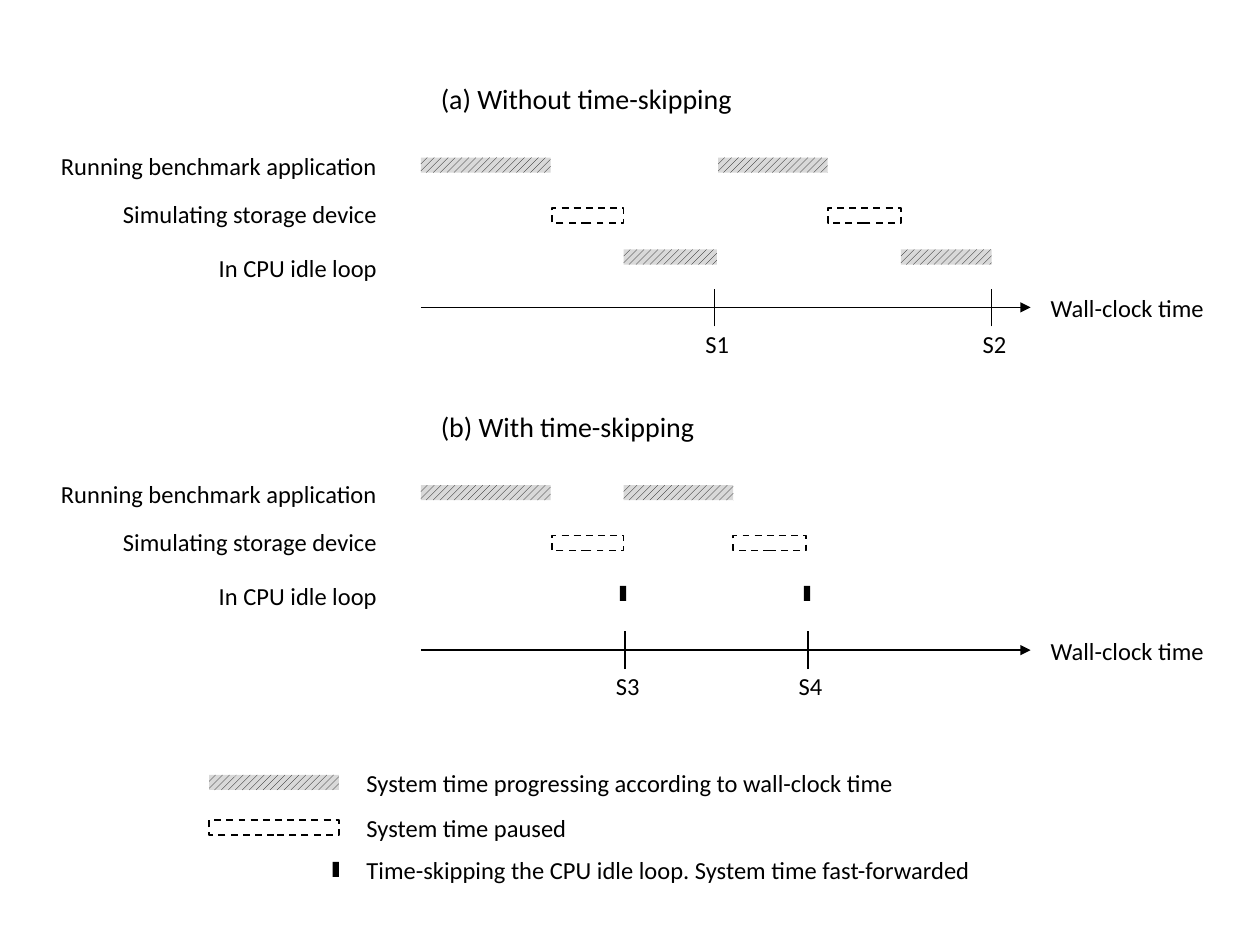
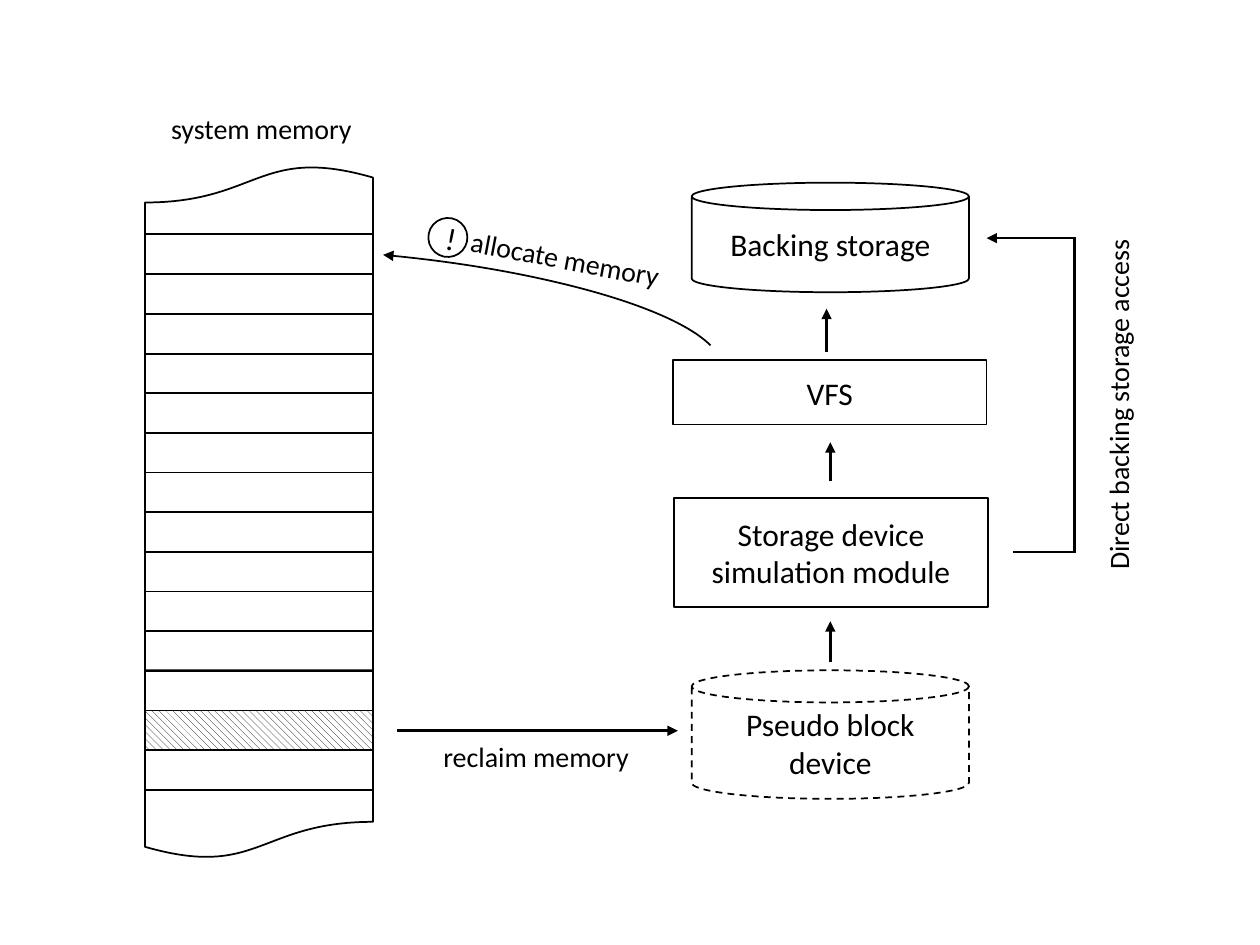
from dataclasses import dataclass
from enum import Enum

import lxml.etree
import pptx
import pptx.dml.color
import pptx.dml.fill
import pptx.enum.dml
import pptx.enum.shapes
import pptx.enum.text
import pptx.oxml.ns
import pptx.util

Inches = pptx.util.Inches
Shape = pptx.enum.shapes.MSO_SHAPE
Align = pptx.enum.text.PP_ALIGN
Pattern = pptx.enum.dml.MSO_PATTERN

# Shared look
INK, PAPER, GREY = "000000", "FFFFFF", "D9D9D9"
FONT = "Calibri"
SMALL, MEDIUM, LARGE = 14, 16, 18
THIN, THICK = 1, 1.5
BAR_HEIGHT = 0.12


class Bar(Enum):
    RUNNING = "running"
    PAUSED = "paused"
    SKIPPED = "skipped"


@dataclass
class Span:
    row: int
    left: float
    width: float
    kind: Bar


@dataclass
class Tick:
    x: float
    name: str


@dataclass
class Timeline:
    heading: str
    top: float
    idle_bar: float  # offsets below the top
    axis: float
    spans: list[Span]
    ticks: list[Tick]


@dataclass
class Node:
    kind: Shape
    left: float
    top: float
    width: float
    height: float
    text: str
    dashed: bool = False
    filled: bool = False


@dataclass
class Label:
    text: str
    left: float
    top: float
    width: float
    rotation: float = 0


@dataclass
class Arrow:
    start: tuple[float, float]
    end: tuple[float, float]
    pointed: bool = True


# Drawing helpers
def paint(fill: pptx.dml.fill.FillFormat, colour: str) -> None:
    fill.solid()
    fill.fore_color.rgb = pptx.dml.color.RGBColor.from_string(colour)


def hatch(shape, pattern: Pattern, back: str) -> None:
    shape.fill.patterned()
    shape.fill.pattern = pattern
    shape.fill.fore_color.rgb = pptx.dml.color.RGBColor.from_string(INK)
    shape.fill.back_color.rgb = pptx.dml.color.RGBColor.from_string(back)


def outline(shape, width: float = THIN, dashed: bool = False) -> None:
    paint(shape.line.fill, INK)
    shape.line.width = pptx.util.Pt(width)
    if dashed:
        shape.line.dash_style = pptx.enum.dml.MSO_LINE.DASH


def add_arrowhead(shape, end: str) -> None:
    line = shape.line._get_or_add_ln()
    lxml.etree.SubElement(line, pptx.oxml.ns.qn(f"a:{end}"), type="triangle")


def write(shape, text: str, size: int, align: Align) -> None:
    para = shape.text_frame.paragraphs[0]
    para.alignment = align
    run = para.add_run()
    run.text = text
    for name, value in {"name": FONT, "size": pptx.util.Pt(size)}.items():
        setattr(run.font, name, value)
    paint(run.font.fill, INK)


def add_text(page, text: str, left: float, top: float, width: float, size: int,
             align: Align = Align.LEFT, wrap: bool = False, rotation: float = 0) -> None:
    height = 0.34 if size == SMALL else 0.37
    box = page.shapes.add_textbox(Inches(left), Inches(top), Inches(width), Inches(height))
    box.rotation = rotation
    frame_format = {"word_wrap": wrap,
                    "auto_size": pptx.enum.text.MSO_AUTO_SIZE.SHAPE_TO_FIT_TEXT}
    for name, value in frame_format.items():
        setattr(box.text_frame, name, value)
    write(box, text, size, align)


def add_box(page, kind: Shape, left: float, top: float, width: float, height: float,
            rotation: float = 0, dashed: bool = False):
    """Draw an unfilled, outlined shape."""
    box = page.shapes.add_shape(kind, Inches(left), Inches(top), Inches(width), Inches(height))
    box.shadow.inherit = False
    box.rotation = rotation
    box.fill.background()
    outline(box, dashed=dashed)
    return box


def add_line(page, start: tuple[float, float], end: tuple[float, float],
             width: float = THIN, pointed: bool = False) -> None:
    line = page.shapes.add_connector(pptx.enum.shapes.MSO_CONNECTOR.STRAIGHT,
                                     *(Inches(value) for value in (*start, *end)))
    outline(line, width)
    if pointed:
        add_arrowhead(line, "tailEnd")
    lxml.etree.SubElement(line._element.spPr, pptx.oxml.ns.qn("a:effectLst"))


def add_bar(page, kind: Bar, left: float, top: float, width: float) -> None:
    bar = add_box(page, Shape.RECTANGLE, left, top, width, BAR_HEIGHT,
                  dashed=kind is Bar.PAUSED)
    if kind is not Bar.PAUSED:
        bar.line.fill.background()
    if kind is Bar.RUNNING:
        hatch(bar, Pattern.WIDE_UPWARD_DIAGONAL, GREY)
    elif kind is Bar.SKIPPED:
        paint(bar.fill, INK)


# Slide 1: timelines with and without time-skipping
AXIS_LEFT, AXIS_RIGHT = 3.34, 8.18
ROW_LABEL_RIGHT = 3.09
ROW_LABELS = [  # text, offset below the top, width
    ("Running benchmark application", 0.55, 2.73),
    ("Simulating storage device", 0.93, 2.24),
    ("In CPU idle loop", 1.36, 1.47),
]
TIMELINES = [
    Timeline("(a) Without time-skipping", 0.6, 1.38, 1.84,
             [Span(0, 3.34, 1.03, Bar.RUNNING), Span(1, 4.38, 0.57, Bar.PAUSED),
              Span(2, 4.95, 0.74, Bar.RUNNING), Span(0, 5.7, 0.87, Bar.RUNNING),
              Span(1, 6.57, 0.58, Bar.PAUSED), Span(2, 7.15, 0.72, Bar.RUNNING)],
             [Tick(5.67, "S1"), Tick(7.87, "S2")]),
    Timeline("(b) With time-skipping", 3.2, 1.45, 1.96,
             [Span(0, 3.34, 1.03, Bar.RUNNING), Span(1, 4.38, 0.57, Bar.PAUSED),
              Span(2, 4.92, 0.05, Bar.SKIPPED), Span(0, 4.95, 0.87, Bar.RUNNING),
              Span(1, 5.82, 0.58, Bar.PAUSED), Span(2, 6.38, 0.05, Bar.SKIPPED)],
             [Tick(4.96, "S3"), Tick(6.41, "S4")]),
]
LEGEND_RIGHT = 2.69
LEGEND = [  # kind, bar top, bar width, text, text top, text width
    (Bar.RUNNING, 6.15, 1.03, "System time progressing according to wall-clock time", 6.05, 4.42),
    (Bar.PAUSED, 6.51, 1.03, "System time paused", 6.4, 1.8),
    (Bar.SKIPPED, 6.84, 0.05, "Time-skipping the CPU idle loop. System time fast-forwarded",
     6.74, 5.62),
]


def draw_timeline(page, timeline: Timeline) -> None:
    add_text(page, timeline.heading, 3.4, timeline.top, 3.68, MEDIUM, wrap=True)
    for text, offset, width in ROW_LABELS:
        add_text(page, text, ROW_LABEL_RIGHT - width, timeline.top + offset, width,
                 SMALL, Align.RIGHT)
    bar_offsets = [0.65, 1.05, timeline.idle_bar]
    for span in timeline.spans:
        add_bar(page, span.kind, span.left, timeline.top + bar_offsets[span.row], span.width)
    axis = timeline.top + timeline.axis
    add_line(page, (AXIS_LEFT, axis), (AXIS_RIGHT, axis), pointed=True)
    add_text(page, "Wall-clock time", 8.24, axis - 0.16, 1.43, SMALL)
    for tick in timeline.ticks:
        add_line(page, (tick.x, axis + 0.15), (tick.x, axis - 0.15))
        add_text(page, tick.name, tick.x - 0.17, axis + 0.12, 0.39, SMALL)


def draw_time_skipping(page) -> None:
    for timeline in TIMELINES:
        draw_timeline(page, timeline)
    for kind, bar_top, bar_width, text, text_top, text_width in LEGEND:
        add_bar(page, kind, LEGEND_RIGHT - bar_width, bar_top, bar_width)
        add_text(page, text, 2.81, text_top, text_width, SMALL)


# Slide 2: storage path and system memory
MEMORY_LEFT, MEMORY_WIDTH = 1.15, 1.81
FIRST_CELL, CELL_HEIGHT, CELL_LINES = 1.86, 0.315, 14
RECLAIMED_CELL = 12
NODES = [
    Node(Shape.CAN, 5.49, 5.32, 2.2, 1.02, "Pseudo block device", dashed=True, filled=True),
    Node(Shape.RECTANGLE, 5.35, 3.95, 2.49, 0.87, "Storage device simulation module"),
    Node(Shape.RECTANGLE, 5.34, 2.86, 2.49, 0.51, "VFS"),
    Node(Shape.CAN, 5.49, 1.45, 2.2, 0.87, "Backing storage", filled=True),
]
LABELS = [
    Label("system memory", 1.26, 0.84, 1.66),
    Label("reclaim memory", 3.42, 5.82, 1.69),
    Label("allocate memory", 3.63, 1.87, 1.73, 10.7),
    Label("Direct backing storage access", 7.45, 3.01, 2.85, 270),
]
ARROWS = [
    Arrow((6.59, 5.25), (6.59, 4.93)),
    Arrow((6.59, 3.82), (6.59, 3.51)),
    Arrow((6.56, 2.79), (6.56, 2.45)),
    Arrow((3.15, 5.8), (5.38, 5.8)),
    Arrow((8.04, 4.38), (8.54, 4.38), pointed=False),
    Arrow((8.53, 4.38), (8.53, 1.89), pointed=False),
    Arrow((8.54, 1.89), (7.83, 1.89)),
]


def draw_memory(page) -> None:
    for index in range(CELL_LINES):
        y = FIRST_CELL + index * CELL_HEIGHT
        add_line(page, (MEMORY_LEFT, y), (MEMORY_LEFT + MEMORY_WIDTH, y))
    add_box(page, Shape.FLOWCHART_DOCUMENT, MEMORY_LEFT, 1.31, MEMORY_WIDTH, 1.5, rotation=180)
    add_box(page, Shape.RECTANGLE, MEMORY_LEFT, 2.81, MEMORY_WIDTH, 3.46)
    reclaimed = add_box(page, Shape.RECTANGLE, MEMORY_LEFT,
                        FIRST_CELL + RECLAIMED_CELL * CELL_HEIGHT, MEMORY_WIDTH, CELL_HEIGHT)
    hatch(reclaimed, Pattern.WIDE_DOWNWARD_DIAGONAL, PAPER)
    add_box(page, Shape.FLOWCHART_DOCUMENT, MEMORY_LEFT, 5.32, MEMORY_WIDTH, 1.5)


def draw_storage_path(page) -> None:
    draw_memory(page)
    for node in NODES:
        box = add_box(page, node.kind, node.left, node.top, node.width, node.height,
                      dashed=node.dashed)
        if node.filled:
            paint(box.fill, PAPER)
        write(box, node.text, LARGE, Align.CENTER)
    for arrow in ARROWS:
        add_line(page, arrow.start, arrow.end, THICK, arrow.pointed)

    # Curved arrow from VFS to memory, with its warning mark
    curve = add_box(page, Shape.ARC, 0.22, 2.02, 5.52, 1.31, rotation=5.3)
    curve.adjustments[0], curve.adjustments[1] = 162, 213.67
    add_arrowhead(curve, "headEnd")
    warning = add_box(page, Shape.OVAL, 3.4, 1.73, 0.31, 0.31, rotation=11.5)
    write(warning, "!", LARGE, Align.CENTER)

    for label in LABELS:
        add_text(page, label.text, label.left, label.top, label.width, MEDIUM,
                 rotation=label.rotation)


def main() -> None:
    deck = pptx.Presentation()
    deck.slide_width, deck.slide_height = Inches(10), Inches(7.5)
    blank = deck.slide_layouts[6]
    for draw in (draw_time_skipping, draw_storage_path):
        draw(deck.slides.add_slide(blank))
    deck.save("out.pptx")


if __name__ == "__main__":
    main()
